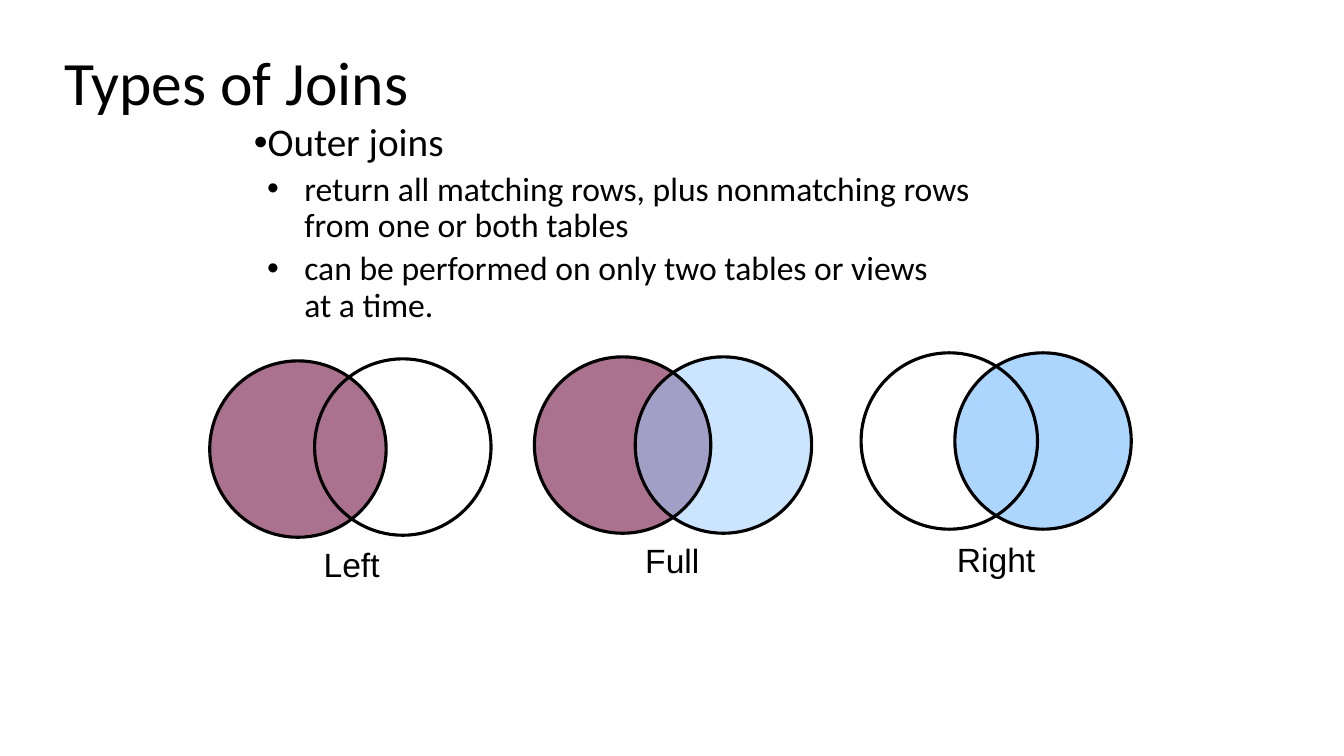
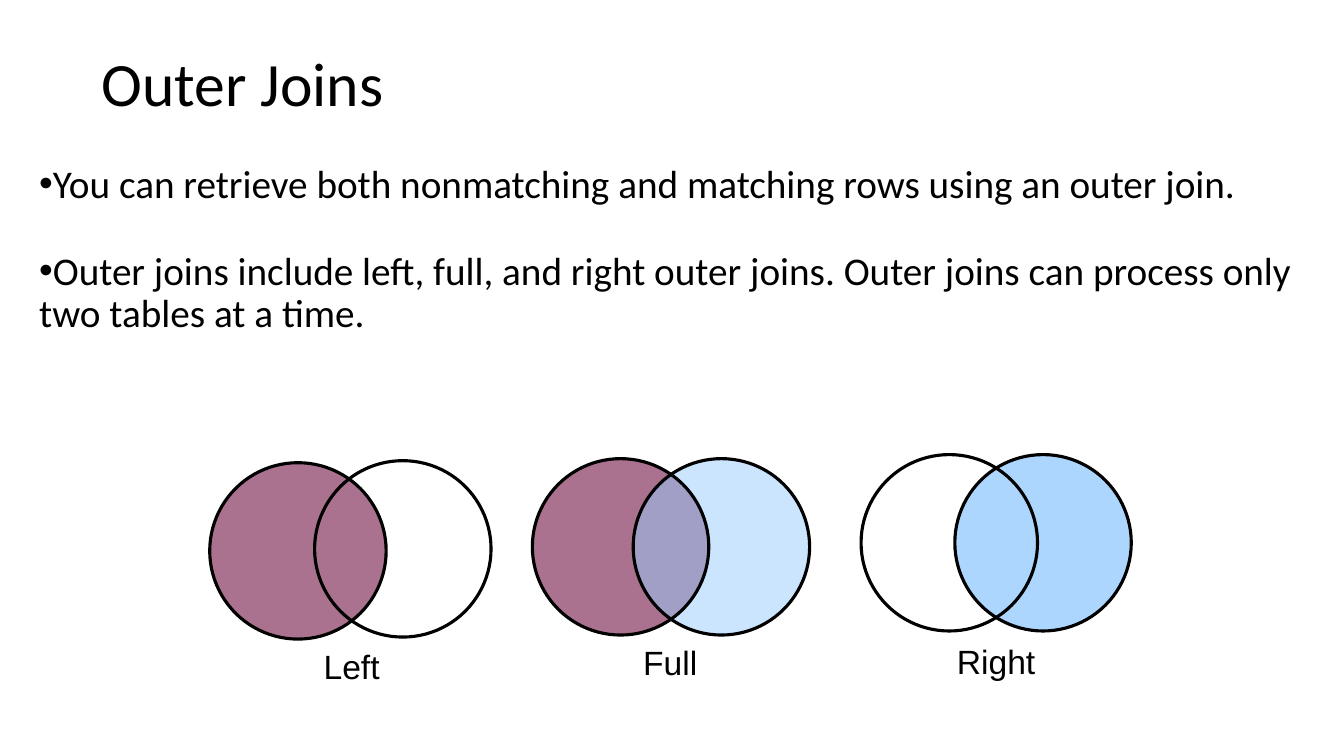
from lxml.etree import SubElement
from pptx import Presentation
from pptx.dml.color import RGBColor
from pptx.enum.shapes import MSO_SHAPE as Shape
from pptx.enum.text import MSO_ANCHOR as Anchor
from pptx.oxml.ns import qn
from pptx.util import Inches, Pt

BLACK, PLUM, SKY = "000000", "954F72", "99CCFF"
DIAMETER = 1.75
TITLE_SIZE = (11.5, 1.45)

# Body items: level, text, space before in points
SLIDES = [
    dict(
        title="Types of Joins", title_at=(0.54, 0.12),
        body_box=(2.42, 1.17, 8.58, 4.67),
        body=[
            (0, "Outer joins", 10),
            (1, "return all matching rows, plus nonmatching rows\nfrom one or both tables", 5),
            (1, "can be performed on only two tables or views\nat a time.", 5),
        ],
        venn_top=3.5, full_left=5.3,
    ),
    dict(
        title="Outer Joins", title_at=(0.91, 0.13),
        body_box=(0.29, 1.58, 12.75, 4.76),
        body=[
            (0, "You can retrieve both nonmatching and matching rows using an outer join.", 10),
            (0, "Outer joins include left, full, and right outer joins. "
                "Outer joins can process only two tables at a time.", 32),
        ],
        venn_top=4.51, full_left=5.28,
    ),
]

# Circle and label offsets: x from the left circle, y from the top of the row.
# A fill is a colour and its opacity in percent.
JOINS = [
    dict(name="Full", left=None, left_y=0.04, right=(1.0, 0.04), label=(1.1, 1.86, 0.54),
         left_fill=(PLUM, 80), right_fill=(SKY, 50)),
    dict(name="Right", left=8.54, left_y=0, right=(0.93, 0), label=(0.95, 1.85, 0.79),
         left_fill=None, right_fill=(SKY, 80)),
    dict(name="Left", left=2.08, left_y=0.08, right=(1.04, 0.06), label=(1.13, 1.9, 0.56),
         left_fill=(PLUM, 80), right_fill=None),
]

LEVELS = [dict(size=28, margin=0, indent=0), dict(size=24, margin=0.5, indent=-0.37)]


def rgb(color):
    return RGBColor.from_string(color)


def add_bullet(paragraph, margin, indent):
    properties = paragraph._p.get_or_add_pPr()
    properties.set("marL", str(Inches(margin)))
    properties.set("indent", str(Inches(indent)))
    SubElement(properties, qn("a:buFont")).set("typeface", "Arial")
    SubElement(properties, qn("a:buChar")).set("char", "•")


def write(paragraph, text, size, font="Calibri", color=BLACK, line_spacing=None, before=0):
    paragraph.text = text
    paragraph.space_before = Pt(before)
    if line_spacing:
        paragraph.line_spacing = line_spacing
    for run in paragraph.runs:
        run.font.size = Pt(size)
        run.font.name = font
        run.font.color.rgb = rgb(color)


def add_frame(slide, box, anchor=Anchor.TOP, wrap=True, inset=None):
    frame = slide.shapes.add_textbox(*map(Inches, box)).text_frame
    frame.word_wrap = wrap
    frame.vertical_anchor = anchor
    if inset is not None:
        frame.margin_left = frame.margin_right = Inches(inset)
        frame.margin_top = frame.margin_bottom = Inches(inset)
    return frame


def add_circle(slide, left, top, fill=None, outlined=True):
    circle = slide.shapes.add_shape(
        Shape.OVAL, *map(Inches, (left, top, DIAMETER, DIAMETER)))
    circle.shadow.inherit = False
    if fill:
        color, opacity = fill
        circle.fill.solid()
        circle.fill.fore_color.rgb = rgb(color)
        color_node = circle._element.spPr.find(qn("a:solidFill"))[0]
        SubElement(color_node, qn("a:alpha")).set("val", str(opacity * 1000))
    else:
        circle.fill.background()
    if outlined:
        circle.line.color.rgb = rgb(BLACK)
        circle.line.width = Pt(2.25)
    else:
        circle.line.fill.background()


def add_venn(slide, join, left, row_top):
    """Draw the left fill, the right circle, then the left outline over both."""
    left_top = row_top + join["left_y"]
    right_x, right_y = join["right"]
    label_x, label_y, label_width = join["label"]
    if join["left_fill"]:
        add_circle(slide, left, left_top, join["left_fill"], outlined=False)
    add_circle(slide, left + right_x, row_top + right_y, join["right_fill"])
    add_circle(slide, left, left_top)
    label = add_frame(slide, (left + label_x, row_top + label_y, label_width, 0.4),
                      wrap=False, inset=0)
    write(label.paragraphs[0], join["name"], size=24, font="Arial")


def add_body(slide, box, items):
    frame = add_frame(slide, box)
    for index, (level, text, before) in enumerate(items):
        paragraph = frame.add_paragraph() if index else frame.paragraphs[0]
        style = LEVELS[level]
        paragraph.level = level
        write(paragraph, text, style["size"], line_spacing=0.9, before=before)
        add_bullet(paragraph, style["margin"], style["indent"])


def build_slide(deck, content):
    slide = deck.slides.add_slide(deck.slide_layouts[6])
    title = add_frame(slide, content["title_at"] + TITLE_SIZE, anchor=Anchor.MIDDLE)
    write(title.paragraphs[0], content["title"], size=44, line_spacing=0.9)
    add_body(slide, content["body_box"], content["body"])
    for join in JOINS:
        add_venn(slide, join, join["left"] or content["full_left"], content["venn_top"])


def main():
    deck = Presentation()
    deck.slide_width, deck.slide_height = Inches(13.33), Inches(7.5)
    for content in SLIDES:
        build_slide(deck, content)
    deck.save("out.pptx")


if __name__ == "__main__":
    main()
